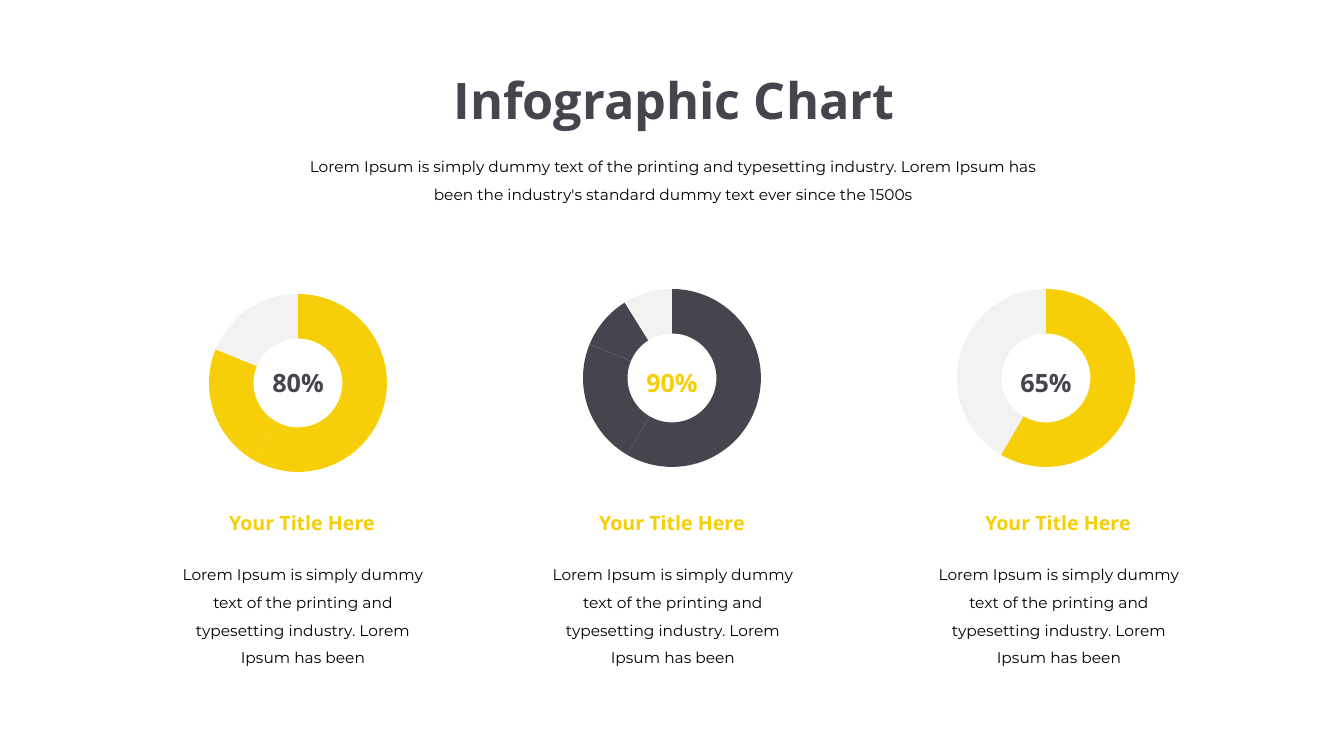
"""Build the Infographic Chart slide with three doughnut gauges."""
from dataclasses import dataclass

from lxml.etree import fromstring
from pptx import Presentation
from pptx.chart.data import CategoryChartData
from pptx.dml.color import RGBColor
from pptx.enum.chart import XL_CHART_TYPE
from pptx.enum.text import MSO_ANCHOR, MSO_AUTO_SIZE, PP_ALIGN
from pptx.oxml.ns import nsdecls
from pptx.shapes.autoshape import Shape
from pptx.slide import Slide
from pptx.util import Pt

SCALE = 914400 / 100.8
GOLD, DARK, PALE, BLACK = "F6CF08", "45454D", "F2F2F2", "000000"
SHARES = (59, 23, 10, 9)
RING = 178
LOREM = "Lorem Ipsum is simply dummy text of the printing and typesetting industry. Lorem Ipsum has been"


@dataclass
class Style:
    size: int
    name: str
    color: str
    bold: bool = False
    space: float = 1.0


@dataclass
class Gauge:
    left: int
    top: int
    label: str
    filled: int
    color: str
    ink: str
    text: int


BODY = Style(11, "Montserrat", BLACK, space=1.5)
TITLE = Style(36, "Open Sans", DARK, True)
HEAD = Style(14, "Open Sans", GOLD, True)

GAUGES = [
    Gauge(183, 280, "80%", 2, GOLD, DARK, 161),
    Gauge(557, 275, "90%", 3, DARK, GOLD, 531),
    Gauge(931, 275, "65%", 1, GOLD, DARK, 917),
]


def px(count: int) -> int:
    return round(count * SCALE)


def rgb(color: str) -> RGBColor:
    return RGBColor.from_string(color)


def write(shape: Shape, text: str, style: Style) -> None:
    frame = shape.text_frame
    setup = {
        "text": text,
        "word_wrap": True,
        "auto_size": MSO_AUTO_SIZE.SHAPE_TO_FIT_TEXT,
        "vertical_anchor": MSO_ANCHOR.TOP,
    }
    for key, value in setup.items():
        setattr(frame, key, value)
    para = frame.paragraphs[0]
    para.alignment, para.line_spacing = PP_ALIGN.CENTER, style.space
    font = para.runs[0].font
    for key, value in {"size": Pt(style.size), "name": style.name, "bold": style.bold}.items():
        setattr(font, key, value)
    font.color.rgb = rgb(style.color)


def label(slide: Slide, box: tuple[int, int, int, int], text: str, style: Style) -> None:
    write(slide.shapes.add_textbox(*map(px, box)), text, style)


def ring(slide: Slide, gauge: Gauge) -> None:
    wide, high = 230, 206
    data = CategoryChartData()
    data.categories = ["1", "2", "3", "4"]
    data.add_series("Series 1", SHARES)
    box = map(px, (gauge.left, gauge.top, wide, high))
    chart = slide.shapes.add_chart(XL_CHART_TYPE.DOUGHNUT, *box, data).chart
    chart.has_legend = chart.has_title = False
    chart.font.size, chart.font.name = Pt(10), "Calibri"
    chart.font.color.rgb = rgb(BLACK)
    plot = chart.plots[0]
    plot.vary_by_categories = True
    for index in range(len(SHARES)):
        form = plot.series[0].points[index].format
        form.fill.solid()
        form.fill.fore_color.rgb = rgb(gauge.color if index < gauge.filled else PALE)
        form.line.fill.background()
    part = {"w": RING / wide, "h": RING / high}
    spots = {"x": (1 - part["w"]) / 2, "y": (1 - part["h"]) / 2, **part}
    modes = '<c:layoutTarget val="inner"/><c:xMode val="edge"/><c:yMode val="edge"/>'
    sizes = "".join(f'<c:{key} val="{value:.3f}"/>' for key, value in spots.items())
    area = chart.element.chart.plotArea
    for old in area.findall("{*}layout"):
        area.remove(old)
    area.insert(0, fromstring(
        f"<c:layout {nsdecls('c')}><c:manualLayout>{modes}{sizes}</c:manualLayout></c:layout>"))


def main() -> None:
    deck = Presentation()
    deck.slide_width, deck.slide_height = px(1344), px(756)
    slide = deck.slides.add_slide(deck.slide_layouts[5])
    title = slide.shapes.title
    for key, value in {"left": 237, "top": 64, "width": 874, "height": 72}.items():
        setattr(title, key, px(value))
    write(title, "Infographic Chart", TITLE)
    label(slide, (293, 143, 761, 67),
          f"{LOREM} the industry's standard dummy text ever since the 1500s", BODY)
    for gauge in GAUGES:
        ring(slide, gauge)
        label(slide, (gauge.text, 506, 282, 34), "Your Title Here", HEAD)
        label(slide, (gauge.text + 4, 551, 276, 122), LOREM, BODY)
        label(slide, (gauge.left + 67, 362, 96, 40), gauge.label,
              Style(18, "Open Sans", gauge.ink, True))
    deck.save("out.pptx")


if __name__ == "__main__":
    main()
